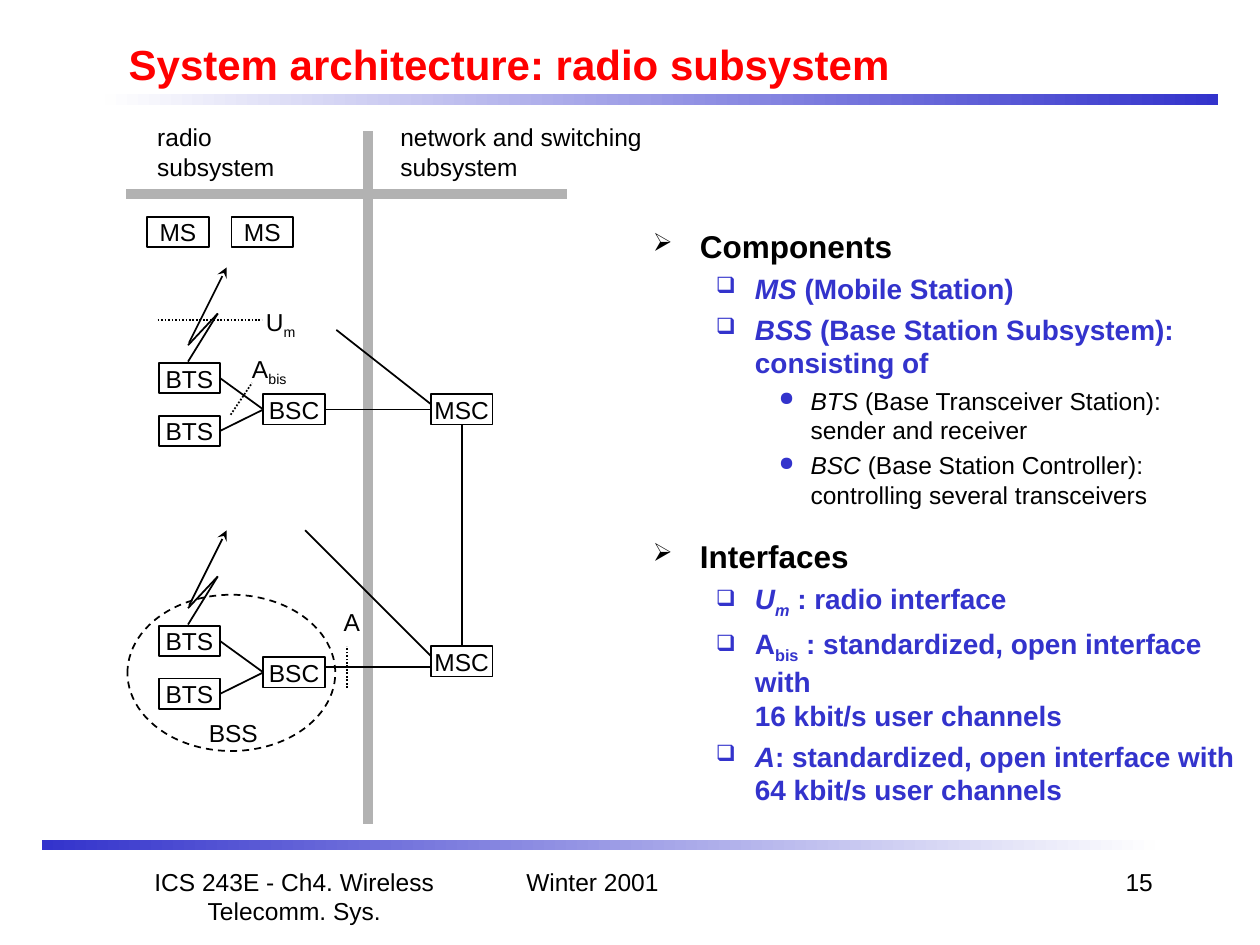
from lxml import etree
from pptx import Presentation
from pptx import util as u
from pptx.dml.color import RGBColor
from pptx.enum import dml, shapes, text
from pptx.oxml.ns import qn

COLORS = {"title": "FF0000", "accent": "3333CC", "text": "000000",
          "divider": "B2B2B2", "fade": "FEFEFE"}
TOP, LEFT, BOTTOM, RIGHT = range(4)
BOX_W, BOX_H = 1.24, 0.61
CELL_STEP = 5.3

# level: (left indent cm, hanging cm, space before pt, bullet, bullet colour, size, colour, bold)
LEVELS = [
    (0.95, 0.95, 4.5, "➢", "text", 18, "text", True),
    (2.06, 0.79, 4, "❑", "accent", 16, "accent", True),
    (3.18, 0.64, 3.5, "●", "accent", 14, "text", False),
]
# (level, runs); a run is (words, marks): i = italic, s = subscript
OUTLINE = [
    (0, [("Components", "")]),
    (1, [("MS", "i"), (" (Mobile Station)", "")]),
    (1, [("BSS", "i"), (" (Base Station Subsystem):\nconsisting of", "")]),
    (2, [("BTS", "i"), (" (Base Transceiver Station):\nsender and receiver", "")]),
    (2, [("BSC", "i"), (" (Base Station Controller):\ncontrolling several transceivers", "")]),
    (0, [("Interfaces", "")]),
    (1, [("U", "i"), ("m", "is"), (" : radio interface", "")]),
    (1, [("A", ""), ("bis", "s"),
         (" : standardized, open interface with \n16 kbit/s user channels", "")]),
    (1, [("A", "i"), (": standardized, open interface with \n64 kbit/s user channels", "")]),
]
SECTION_GAP = 15.7


def rgb(name):
    return RGBColor.from_string(COLORS[name])


class SlideBuilder:
    """Holds the style and the current slide; all lengths are in centimetres."""

    font = "Arial"
    size = 14
    line_width = 1

    def __init__(self, slide):
        self.slide = slide

    def add_runs(self, paragraph, runs, size=None, color="text", bold=False):
        for words, marks in runs:
            for index, line in enumerate(words.split("\n")):
                if index:
                    paragraph.add_line_break()
                run = paragraph.add_run()
                run.text = line
                run.font.name = self.font
                run.font.size = u.Pt(size or self.size)
                run.font.bold = bold
                run.font.italic = "i" in marks
                run.font.color.rgb = rgb(color)
                if "s" in marks:
                    run.font._element.set("baseline", "-25000")

    def title(self, words, left, top, width, height):
        shape = self.slide.shapes.title
        shape.left, shape.top = u.Cm(left), u.Cm(top)
        shape.width, shape.height = u.Cm(width), u.Cm(height)
        frame = shape.text_frame
        frame.auto_size = text.MSO_AUTO_SIZE.NONE
        frame.vertical_anchor = text.MSO_ANCHOR.BOTTOM
        paragraph = frame.paragraphs[0]
        paragraph.alignment = text.PP_ALIGN.LEFT
        self.add_runs(paragraph, [(words, "")], 24, "title", True)

    def text_frame(self, left, top, width, height):
        shape = self.slide.shapes.add_textbox(*map(u.Cm, (left, top, width, height)))
        shape.text_frame.word_wrap = True
        return shape.text_frame

    def label(self, runs, left, top, width, height, align=text.PP_ALIGN.LEFT):
        paragraph = self.text_frame(left, top, width, height).paragraphs[0]
        paragraph.alignment = align
        self.add_runs(paragraph, runs)

    def outline(self, items, left, top, width, height):
        frame = self.text_frame(left, top, width, height)
        for index, (level, runs) in enumerate(items):
            paragraph = frame.add_paragraph() if index else frame.paragraphs[0]
            indent, hanging, space, bullet, bullet_color, size, color, bold = LEVELS[level]
            paragraph.level = level
            self.bullet(paragraph, indent, hanging, bullet, bullet_color)
            if index:
                paragraph.space_before = u.Pt(space if level else SECTION_GAP)
            self.add_runs(paragraph, runs, size, color, bold)

    def bullet(self, paragraph, indent, hanging, character, color):
        properties = paragraph._p.get_or_add_pPr()
        properties.set("marL", str(u.Cm(indent)))
        properties.set("indent", str(-u.Cm(hanging)))
        bullet_color = etree.SubElement(properties, qn("a:buClr"))
        etree.SubElement(bullet_color, qn("a:srgbClr")).set("val", COLORS[color])
        etree.SubElement(properties, qn("a:buSzPct")).set("val", "80000")
        etree.SubElement(properties, qn("a:buChar")).set("char", character)

    def shape(self, kind, left, top, width, height):
        shape = self.slide.shapes.add_shape(kind, *map(u.Cm, (left, top, width, height)))
        shape.shadow.inherit = False
        return shape

    def gradient_bar(self, left, top, start, end):
        bar = self.shape(shapes.MSO_SHAPE.RECTANGLE, left, top, 22.44, 0.21)
        bar.line.fill.background()
        bar.fill.gradient()
        bar.fill.gradient_angle = 0
        for stop, color, position in zip(bar.fill.gradient_stops, (start, end), (0, 1)):
            stop.color.rgb = rgb(color)
            stop.position = position

    def outlined(self, kind, left, top, width, height):
        shape = self.shape(kind, left, top, width, height)
        shape.fill.background()
        shape.line.color.rgb = rgb("text")
        shape.line.width = u.Pt(self.line_width)
        return shape

    def node(self, name, left, top):
        box = self.outlined(shapes.MSO_SHAPE.RECTANGLE, left, top, BOX_W, BOX_H)
        frame = box.text_frame
        frame.word_wrap = False
        frame.vertical_anchor = text.MSO_ANCHOR.MIDDLE
        frame.paragraphs[0].alignment = text.PP_ALIGN.CENTER
        self.add_runs(frame.paragraphs[0], [(name, "")])
        return box

    def line(self, start, end, color="text", width=None, dotted=False, arrow=False):
        connector = self.slide.shapes.add_connector(
            shapes.MSO_CONNECTOR.STRAIGHT, *map(u.Cm, (*start, *end)))
        connector.line.color.rgb = rgb(color)
        connector.line.width = u.Pt(width or self.line_width)
        if dotted:
            connector.line.dash_style = dml.MSO_LINE.ROUND_DOT
        properties = connector._element.spPr
        if arrow:
            outline = properties.find(qn("a:ln"))
            etree.SubElement(outline, qn("a:tailEnd")).set("type", "stealth")
        etree.SubElement(properties, qn("a:effectLst"))
        return connector

    def join(self, first, first_side, second, second_side):
        connector = self.line((0, 0), (0, 0))
        connector.begin_connect(first, first_side)
        connector.end_connect(second, second_side)

    def base_station(self, offset):
        """Draw radio link, two BTS and their BSC; return the BSC."""
        zigzag = [(3.79, 7.29), (4.39, 6.32), (3.79, 6.96)]
        zigzag = [(x, y + offset) for x, y in zigzag]
        for start, end in zip(zigzag, zigzag[1:]):
            self.line(start, end)
        self.line((3.81, 6.91 + offset), (4.57, 5.39 + offset), arrow=True)
        controller = self.node("BSC", 5.31, 7.95 + offset)
        for top in (7.32, 8.38):
            self.join(self.node("BTS", 3.2, top + offset), RIGHT, controller, LEFT)
        return controller


def main():
    presentation = Presentation()
    presentation.slide_width, presentation.slide_height = u.Cm(25.4), u.Cm(19.05)
    builder = SlideBuilder(presentation.slides.add_slide(presentation.slide_layouts[5]))

    builder.gradient_bar(2.12, 1.9, "fade", "accent")
    builder.gradient_bar(0.85, 16.93, "accent", "fade")
    builder.title("System architecture: radio subsystem", 2.34, 0.64, 21.59, 1.27)
    builder.outline(OUTLINE, 12.91, 4.45, 12.49, 12.06)

    builder.line((7.42, 2.65), (7.42, 16.61), "divider", 6)
    builder.line((2.54, 3.91), (11.43, 3.91), "divider", 6)
    builder.label([("radio\nsubsystem", "")], 2.92, 2.34, 3.23, 1.45)
    builder.label([("network and switching\nsubsystem", "")], 7.82, 2.34, 5.92, 1.45)

    for left in (2.97, 4.67):
        builder.node("MS", left, 4.37)
    ellipse = builder.outlined(shapes.MSO_SHAPE.OVAL, 2.57, 11.99, 4.19, 3.15)
    ellipse.line.dash_style = dml.MSO_LINE.DASH
    upper_bsc = builder.base_station(0)
    builder.base_station(CELL_STEP)
    upper_msc, lower_msc = [builder.node("MSC", 8.69, top) for top in (7.95, 13.03)]
    builder.join(upper_bsc, RIGHT, upper_msc, LEFT)
    builder.join(upper_msc, BOTTOM, lower_msc, TOP)
    builder.line((6.55, 13.44), (8.69, 13.44))
    builder.line((8.69, 8.15), (6.78, 6.65))
    builder.line((8.69, 13.23), (6.15, 10.69))

    for start, end in [((3.18, 6.45), (5.28, 6.45)), ((4.65, 8.36), (5.08, 7.72)),
                       ((6.99, 13.87), (6.99, 13.03))]:
        builder.line(start, end, dotted=True)
    builder.label([("U", ""), ("m", "s")], 5.11, 6.07, 1.65, 0.94)
    builder.label([("A", ""), ("bis", "s")], 4.83, 7.01, 1.65, 0.94)
    builder.label([("A", "")], 6.68, 12.12, 0.91, 0.84)
    builder.label([("BSS", "")], 3.96, 14.35, 1.75, 0.84)

    for words, left, width, align in [
            ("ICS 243E - Ch4. Wireless Telecomm. Sys.", 1.91, 8.05, text.PP_ALIGN.CENTER),
            ("Winter 2001", 10.36, 5.28, text.PP_ALIGN.LEFT),
            ("15", 18.21, 5.28, text.PP_ALIGN.RIGHT)]:
        builder.label([(words, "")], left, 17.35, width, 1.27, align)

    presentation.save("out.pptx")


if __name__ == "__main__":
    main()
